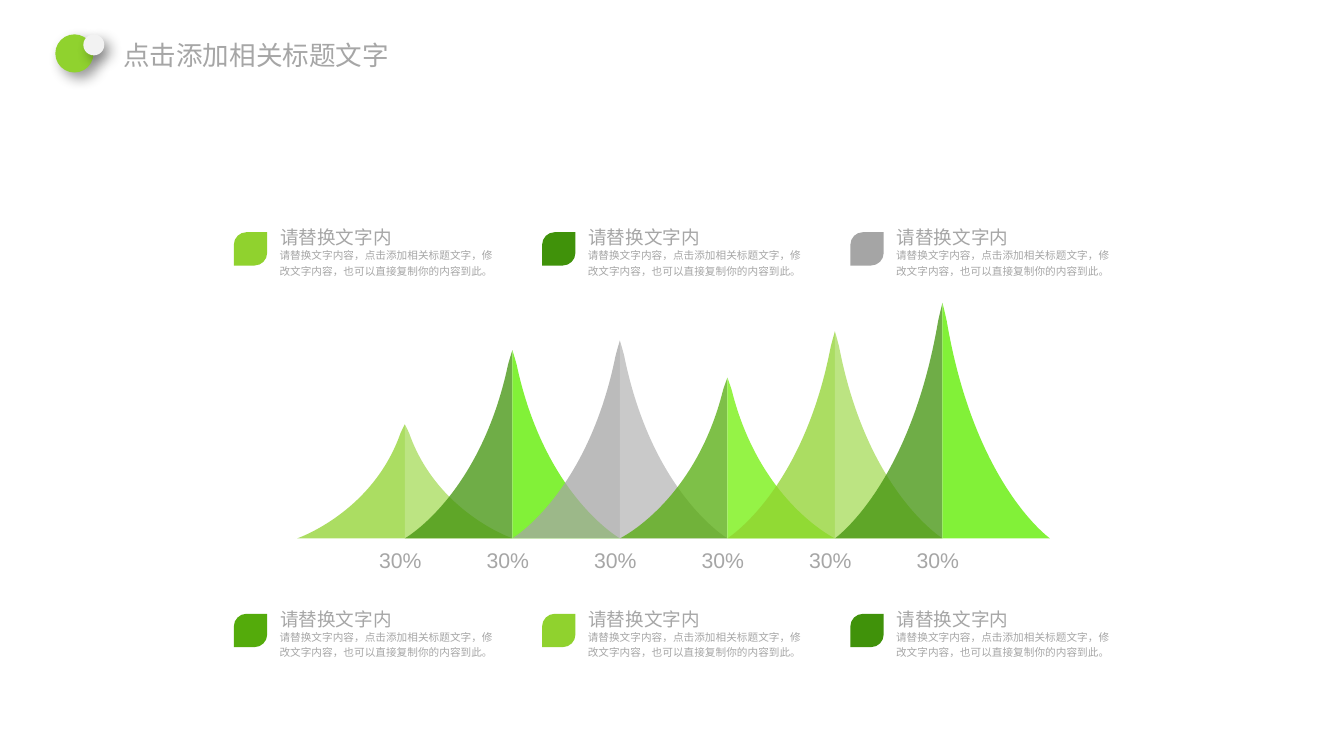
from dataclasses import dataclass

from lxml.etree import Element, SubElement
from pptx import Presentation
from pptx.dml.color import RGBColor
from pptx.enum.shapes import MSO_SHAPE as SHAPE
from pptx.enum.text import MSO_ANCHOR as ANCHOR, MSO_AUTO_SIZE as AUTO
from pptx.oxml.ns import qn
from pptx.util import Inches, Pt


@dataclass(frozen=True)
class Theme:
    font: str = "Arial"
    text: str = "A6A6A6"
    lime: str = "90D22E"
    lime_light: str = "BCE482"
    dark: str = "40920A"
    dark_light: str = "82F138"
    gray: str = "A5A5A5"
    gray_light: str = "C9C9C9"
    green: str = "54AB0B"
    green_light: str = "95F346"
    dot: str = "F2F2F2"
    shadow: str = "000000"
    heading: int = 20
    percent: int = 16
    label: int = 14
    body: int = 8


THEME = Theme()
WIDTH, HEIGHT = Inches(14.06), Inches(7.91)
CELL = WIDTH / 125  # square grid cell: 125 columns across the slide

HEADING = "点击添加相关标题文字"
LABEL = "请替换文字内"
BODY = "请替换文字内容，点击添加相关标题文字，修改文字内容，也可以直接复制你的内容到此。"
PERCENT = "30%"

# left colour, right colour, height in rows
PEAKS = [
    (THEME.lime, THEME.lime_light, 10.6),
    (THEME.dark, THEME.dark_light, 17.5),
    (THEME.gray, THEME.gray_light, 18.4),
    (THEME.green, THEME.green_light, 14.95),
    (THEME.lime, THEME.lime_light, 19.25),
    (THEME.dark, THEME.dark_light, 21.9),
]
PEAK_PITCH = 10
FIRST_TIP, BASE = 37.65, 50.08
FIRST_PERCENT = 35.25
LEGEND_LEFT, LEGEND_PITCH = 21.75, 28.67
LEGEND_ROWS = (21.6, 57.1)


def grid(*cells):
    return [round(c * CELL) for c in cells]


class Deck:
    def __init__(self, theme):
        self.theme = theme
        self.prs = Presentation()
        self.prs.slide_width, self.prs.slide_height = WIDTH, HEIGHT
        self.slide = self.prs.slides.add_slide(self.prs.slide_layouts[6])

    def paint(self, sp, color, alpha=100):
        sp.fill.solid()
        sp.fill.fore_color.rgb = RGBColor.from_string(color)
        sp.line.fill.background()
        sp.shadow.inherit = False
        if alpha < 100:
            clr = sp.element.spPr.find(f"{qn('a:solidFill')}/{qn('a:srgbClr')}")
            SubElement(clr, qn("a:alpha"), val=str(alpha * 1000))

    def text(self, text, x, y, w, h, size, wrap=True, anchor=ANCHOR.TOP,
             inset=(0, 0), spacing=1.2, grow=True):
        tf = self.slide.shapes.add_textbox(*grid(x, y, w, h)).text_frame
        tf.text = text
        tf.word_wrap = wrap
        tf.auto_size = AUTO.SHAPE_TO_FIT_TEXT if grow else AUTO.NONE
        tf.vertical_anchor = anchor
        tf.margin_left = tf.margin_right = grid(inset[0])[0]
        tf.margin_top = tf.margin_bottom = grid(inset[1])[0]
        p = tf.paragraphs[0]
        p.line_spacing = spacing
        font = p.runs[0].font
        font.name, font.size = self.theme.font, Pt(size)
        font.color.rgb = RGBColor.from_string(self.theme.text)

    def ball(self, x, y, d, color):
        """A circle with a soft shadow to its lower right."""
        sp = self.slide.shapes.add_shape(SHAPE.OVAL, *grid(x, y, d, d))
        self.paint(sp, color)
        effects = sp.element.spPr.find(qn("a:effectLst"))
        shadow = SubElement(effects, qn("a:outerShdw"), blurRad=str(Pt(10)),
                            dist=str(Pt(6)), dir=str(45 * 60000), algn="tl", rotWithShape="0")
        clr = SubElement(shadow, qn("a:srgbClr"), val=self.theme.shadow)
        SubElement(clr, qn("a:alpha"), val="40000")

    def outline(self, start, segments, color, alpha=100):
        """A closed shape; a segment is (end,) or (control, control, end)."""
        builder = self.slide.shapes.build_freeform(*grid(*start))
        builder.add_line_segments([grid(*seg[-1]) for seg in segments])
        sp = builder.convert_to_shape()
        lines = list(sp.element.iter(qn("a:lnTo")))
        for line, seg in zip(lines, segments):
            if len(seg) == 3:
                curve = Element(qn("a:cubicBezTo"))
                for x, y in (grid(*pt) for pt in seg):
                    SubElement(curve, qn("a:pt"), x=str(x - sp.left), y=str(y - sp.top))
                line.getparent().replace(line, curve)
        self.paint(sp, color, alpha)

    def leaf(self, x, y, d, color):
        """A square with its upper left and lower right corners rounded."""
        def at(across, down):
            return x + across * d, y + down * d

        self.outline(at(0, 0.38), [
            (at(0, 1),),
            (at(0.62, 1),),
            (at(0.83, 1), at(1, 0.83), at(1, 0.62)),
            (at(1, 0),),
            (at(0.38, 0),),
            (at(0.17, 0), at(0, 0.17), at(0, 0.38)),
        ], color)

    def half_peak(self, tip, base, height, side, color, alpha=100):
        """One flank of a peak; side is -1 for left and 1 for right."""
        def at(across, down):
            return tip + side * across * PEAK_PITCH, base - height * (1 - down)

        top, shoulder, foot = at(0, 0), at(0.04, 0.077), at(1, 1)
        self.outline(top, [
            (top, at(0.02, 0.035), shoulder),
            (at(0.3, 0.775), foot, foot),
            (at(0, 1),),
        ], color, alpha)

    def legend(self, x, y, color):
        self.leaf(x, y, 3.1, color)
        self.text(LABEL, x + 4.3, y - 1, 10.5, 2.5, self.theme.label, wrap=False)
        self.text(BODY, x + 4.25, y + 1.35, 19.9, 2.85, self.theme.body)


def main():
    deck = Deck(THEME)
    deck.ball(5.15, 3.2, 3.55, THEME.lime)
    for i, (color, _, _) in enumerate(PEAKS):
        row, col = divmod(i, 3)
        deck.legend(LEGEND_LEFT + col * LEGEND_PITCH, LEGEND_ROWS[row], color)
    for i, (left, right, height) in enumerate(PEAKS):
        tip = FIRST_TIP + i * PEAK_PITCH
        deck.half_peak(tip, BASE, height, -1, left, alpha=75)
        deck.half_peak(tip, BASE, height, 1, right)
    for i in range(len(PEAKS)):
        deck.text(PERCENT, FIRST_PERCENT + i * PEAK_PITCH, 50.4, 4, 2.85,
                  THEME.percent, wrap=False, anchor=ANCHOR.MIDDLE)
    deck.text(HEADING, 10.5, 3.2, 29.8, 3.55, THEME.heading,
              inset=(0.95, 0.45), spacing=1, grow=False)
    deck.ball(7.75, 3.2, 1.95, THEME.dot)
    deck.prs.save("out.pptx")


if __name__ == "__main__":
    main()
